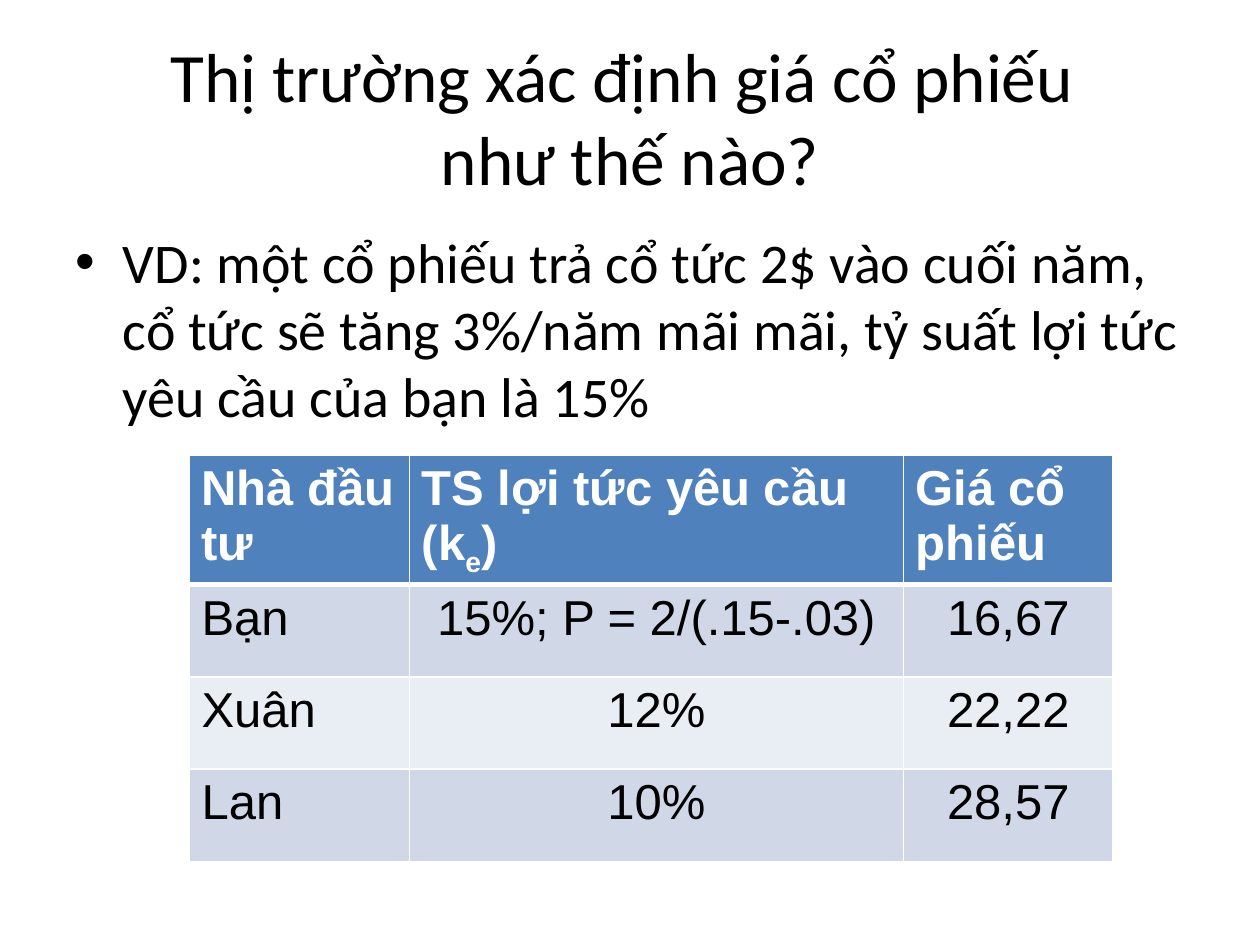
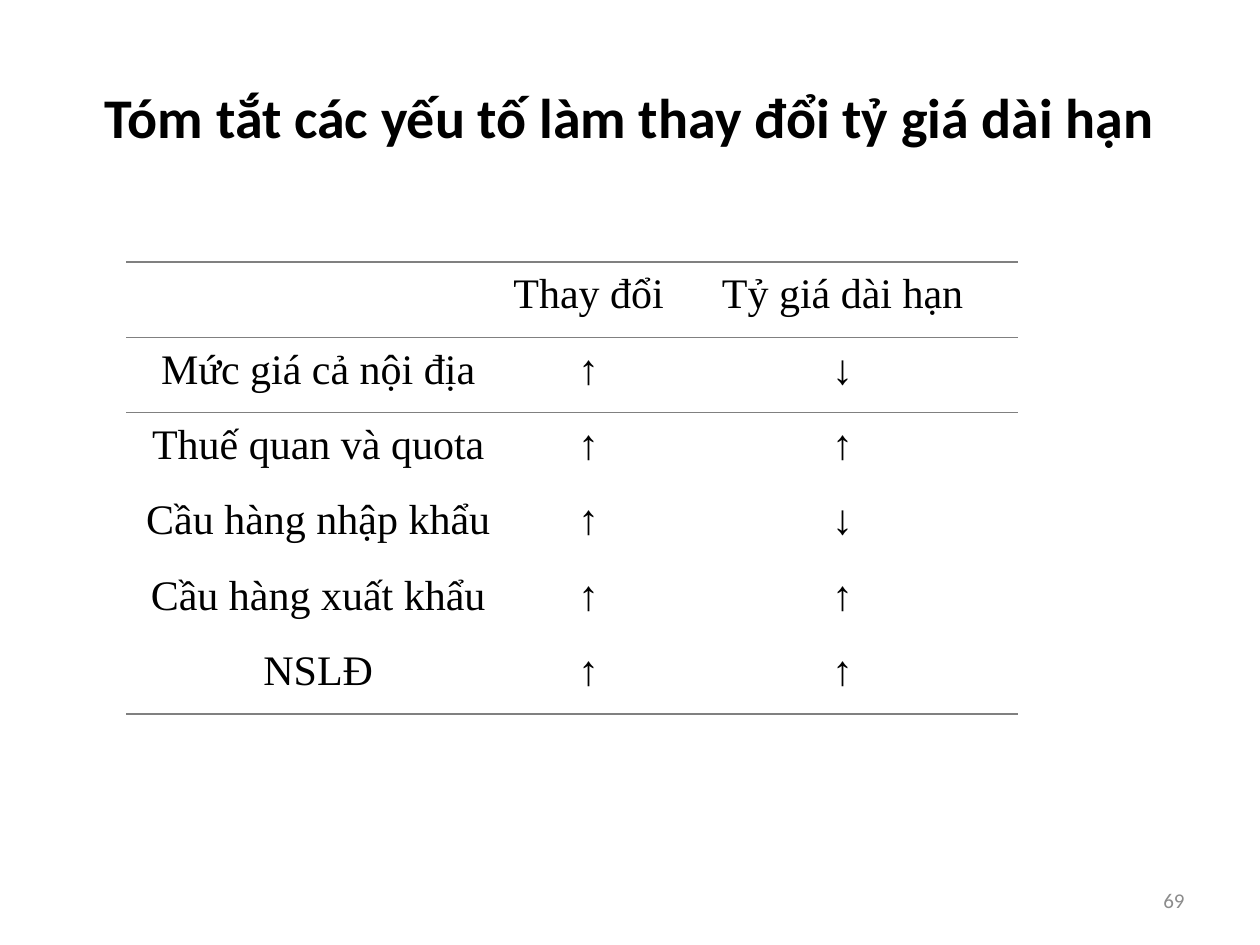
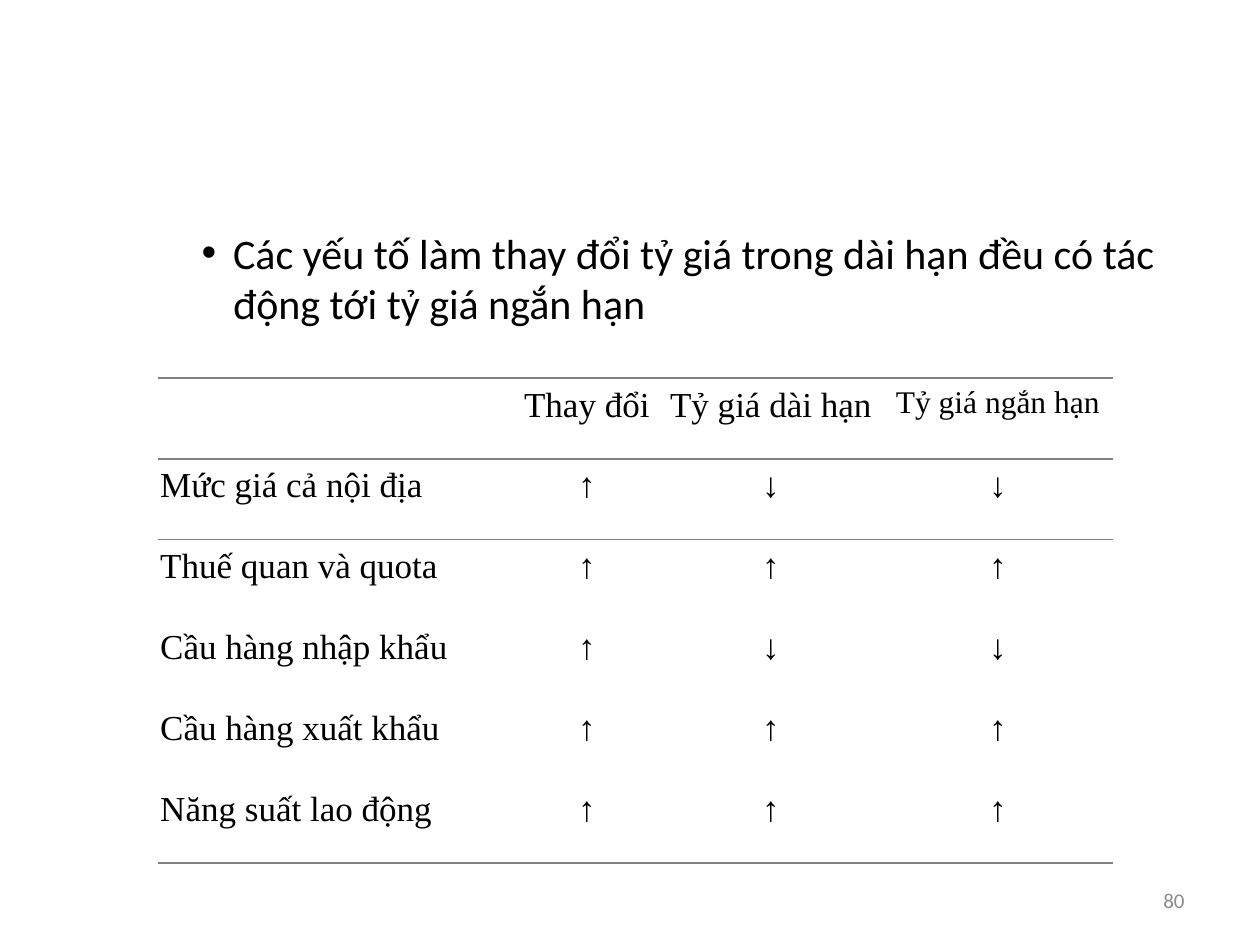
from lxml.etree import SubElement
from pptx import Presentation
from pptx.dml.color import RGBColor
from pptx.enum.text import MSO_ANCHOR, MSO_AUTO_SIZE, PP_ALIGN
from pptx.oxml.ns import qn
from pptx.util import Cm, Pt

# Shared look
BLACK, WHITE, RULE, PAGE_GREY = "000000", "FFFFFF", "808080", "8C8C8C"
HEADER_BLUE, BANDS = "4F81BD", ("D0D8E8", "E9EDF4")
HEADING_FONT, PRICE_FONT, FACTOR_FONT = "Calibri", "Arial", "Times New Roman"
TITLE_BOX = (1.27, 0.76, 22.86, 3.18)
BODY_BOX = (1.27, 4.45, 22.86, 12.57)
PAGE_BOX = (18.2, 17.65, 5.93, 1.01)
NO_GRID_STYLE = "{2D5ABB26-0587-4C30-8999-92F81FD0307C}"
UP, DOWN = "↑", "↓"


def rgb(value):
    return RGBColor.from_string(value)


def add_run(paragraph, text, font, size, color=BLACK, bold=False):
    run = paragraph.add_run()
    run.text = text
    run.font.name = font
    run.font.size = Pt(size)
    run.font.bold = bold
    run.font.color.rgb = rgb(color)
    return run


def place(shape, box):
    shape.left, shape.top, shape.width, shape.height = map(Cm, box)
    shape.text_frame.word_wrap = True
    shape.text_frame.auto_size = MSO_AUTO_SIZE.NONE


# Title, list and page number
def fill_title(slide, lines, size, bold=False):
    title = slide.shapes.title
    place(title, TITLE_BOX)
    title.text_frame.vertical_anchor = MSO_ANCHOR.MIDDLE
    paragraph = title.text_frame.paragraphs[0]
    paragraph.alignment = PP_ALIGN.CENTER
    for index, line in enumerate(lines):
        if index:
            paragraph.add_line_break()
        add_run(paragraph, line, HEADING_FONT, size, bold=bold)


def fill_body(slide, text, size, level=0):
    body = slide.placeholders[1]
    place(body, BODY_BOX)
    paragraph = body.text_frame.paragraphs[0]
    paragraph.level = level
    paragraph.space_before = Pt(0)
    add_run(paragraph, text, HEADING_FONT, size)


def add_page_number(slide, number):
    page = slide.shapes.add_textbox(*map(Cm, PAGE_BOX))
    place(page, PAGE_BOX)
    page.text_frame.vertical_anchor = MSO_ANCHOR.MIDDLE
    paragraph = page.text_frame.paragraphs[0]
    paragraph.alignment = PP_ALIGN.RIGHT
    add_run(paragraph, str(number), HEADING_FONT, 12, PAGE_GREY)


# Tables
def add_grid(slide, left, top, widths, heights):
    table = slide.shapes.add_table(
        len(heights), len(widths), Cm(left), Cm(top),
        Cm(sum(widths)), Cm(sum(heights))).table
    table.first_row = table.horz_banding = False
    table._tbl.tblPr.find(qn("a:tableStyleId")).text = NO_GRID_STYLE
    for column, width in zip(table.columns, widths):
        column.width = Cm(width)
    for row, height in zip(table.rows, heights):
        row.height = Cm(height)
    return table


def set_borders(cell, color, widths):
    """Draw the sides in widths (L, R, T, B in points); call before filling."""
    properties = cell._tc.get_or_add_tcPr()
    for side in "LRTB":
        if side in widths:
            line = SubElement(properties, qn(f"a:ln{side}"), w=str(Pt(widths[side])))
            fill = SubElement(line, qn("a:solidFill"))
            SubElement(fill, qn("a:srgbClr"), val=color)


def add_price_table(slide, left, top, rows):
    table = add_grid(slide, left, top, (4.44, 9.96, 4.23), (2.59, 1.86, 1.86, 1.86))
    for r, row in enumerate(rows):
        header = r == 0
        for c, parts in enumerate(row):
            cell = table.cell(r, c)
            set_borders(cell, WHITE, {"L": 1, "R": 1, "T": 3 if r == 1 else 1,
                                      "B": 3 if header else 1})
            cell.fill.solid()
            cell.fill.fore_color.rgb = rgb(HEADER_BLUE if header else BANDS[(r - 1) % 2])
            paragraph = cell.text_frame.paragraphs[0]
            paragraph.alignment = PP_ALIGN.LEFT if header or c == 0 else PP_ALIGN.CENTER
            for p, part in enumerate(parts):
                run = add_run(paragraph, part, PRICE_FONT, 28,
                              WHITE if header else BLACK, header)
                if p == 1:  # the second part of a cell is its subscript
                    run.font._element.set("baseline", "-25000")


def add_factor_table(slide, left, top, widths, row_height, rows, size,
                     label_align=PP_ALIGN.CENTER, small_headers=()):
    table = add_grid(slide, left, top, widths, [row_height] * len(rows))
    rules = {0: {"T": 1.5, "B": 1}, 1: {"T": 1}, len(rows) - 1: {"B": 1.5}}
    for r, row in enumerate(rows):
        for c, text in enumerate(row):
            cell = table.cell(r, c)
            set_borders(cell, RULE, rules.get(r, {}))
            cell.fill.background()
            cell.margin_left = cell.margin_right = Cm(0.05)
            cell.margin_top = cell.margin_bottom = Cm(0)
            if not text:
                continue
            paragraph = cell.text_frame.paragraphs[0]
            paragraph.alignment = label_align if c == 0 else PP_ALIGN.CENTER
            paragraph.line_spacing = 1.2
            paragraph.space_after = Pt(10)
            add_run(paragraph, text, FACTOR_FONT, 18 if text in small_headers else size)


# Slides
def build_price_slide(deck):
    slide = deck.slides.add_slide(deck.slide_layouts[1])
    fill_title(slide, ("Thị trường xác định giá cổ phiếu ", "như thế nào?"), 39.6)
    fill_body(slide, "VD: một cổ phiếu trả cổ tức 2$ vào cuối năm, cổ tức sẽ tăng "
                     "3%/năm mãi mãi, tỷ suất lợi tức yêu cầu của bạn là 15%", 32)
    add_price_table(slide, 3.81, 9.17, [
        [["Nhà đầu tư"], ["TS lợi tức yêu cầu (k", "e", ")"], ["Giá cổ phiếu"]],
        [["Bạn"], ["15%; P = 2/(.15-.03)"], ["16,67"]],
        [["Xuân"], ["12%"], ["22,22"]],
        [["Lan"], ["10%"], ["28,57"]],
    ])


def build_long_run_slide(deck):
    slide = deck.slides.add_slide(deck.slide_layouts[5])
    fill_title(slide, ("Tóm tắt các yếu tố làm thay đổi tỷ giá dài hạn",), 32, bold=True)
    add_factor_table(slide, 2.54, 5.28, (7.75, 3.15, 7.09), 1.52, [
        ("", "Thay đổi", "Tỷ giá dài hạn"),
        ("Mức giá cả nội địa", UP, DOWN),
        ("Thuế quan và quota", UP, UP),
        ("Cầu hàng nhập khẩu", UP, DOWN),
        ("Cầu hàng xuất khẩu", UP, UP),
        ("NSLĐ", UP, UP),
    ], 24)
    add_page_number(slide, 69)


def build_short_run_slide(deck):
    slide = deck.slides.add_slide(deck.slide_layouts[1])
    empty_title = slide.shapes.title.element
    empty_title.getparent().remove(empty_title)
    fill_body(slide, "Các yếu tố làm thay đổi tỷ giá trong dài hạn đều có tác động "
                     "tới tỷ giá ngắn hạn", 24, level=2)
    add_page_number(slide, 80)
    short_run = "Tỷ giá ngắn hạn"
    add_factor_table(slide, 3.18, 7.62, (7.19, 2.92, 4.5, 4.65), 1.63, [
        ("", "Thay đổi", "Tỷ giá dài hạn", short_run),
        ("Mức giá cả nội địa", UP, DOWN, DOWN),
        ("Thuế quan và quota", UP, UP, UP),
        ("Cầu hàng nhập khẩu", UP, DOWN, DOWN),
        ("Cầu hàng xuất khẩu", UP, UP, UP),
        ("Năng suất lao động", UP, UP, UP),
    ], 20, PP_ALIGN.JUSTIFY, (short_run,))


def main():
    deck = Presentation()
    deck.slide_width, deck.slide_height = Cm(25.4), Cm(19.05)
    build_price_slide(deck)
    build_long_run_slide(deck)
    build_short_run_slide(deck)
    deck.save("out.pptx")


if __name__ == "__main__":
    main()
